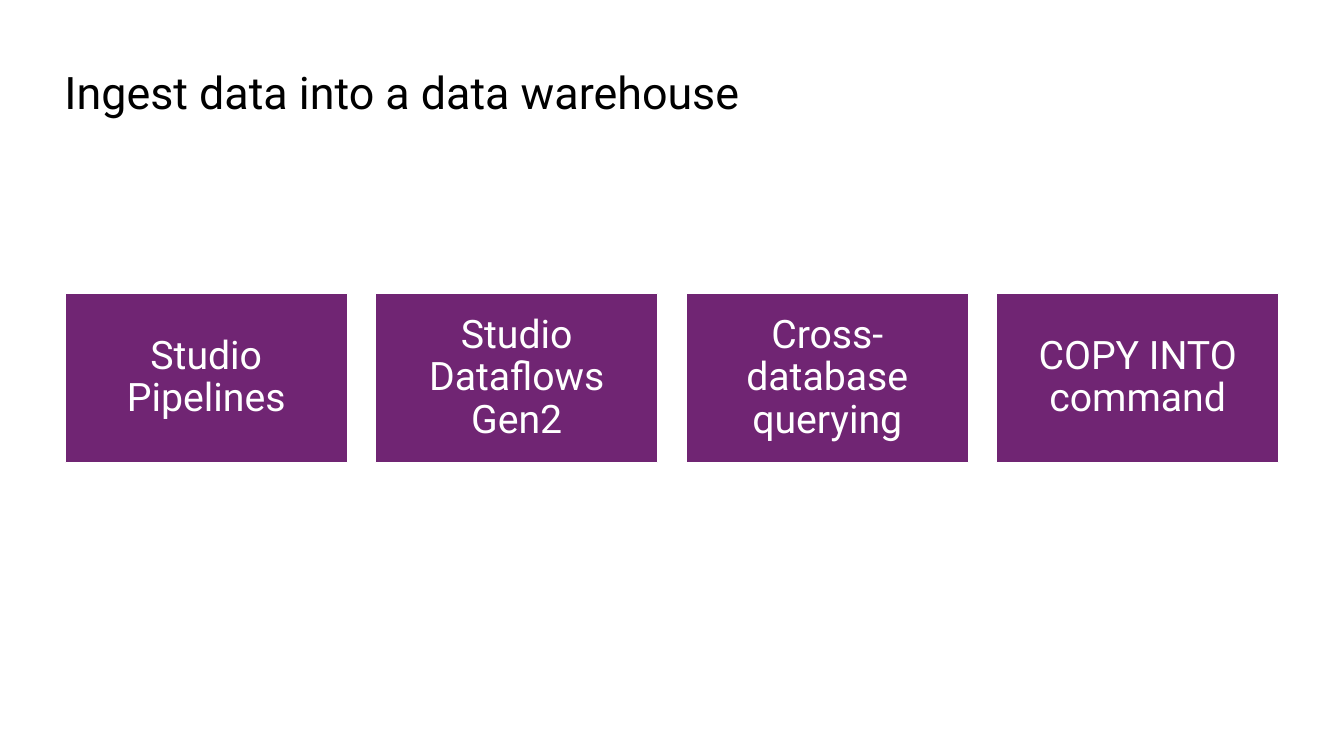
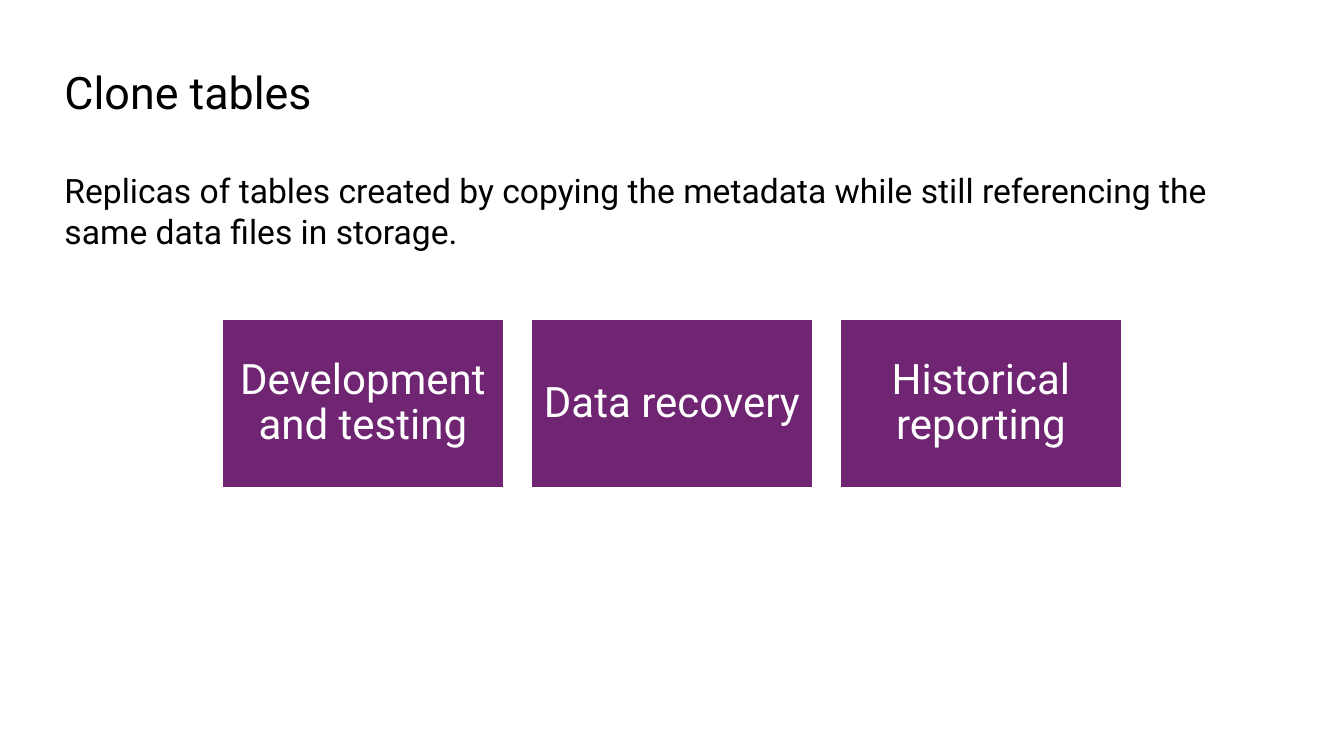
"""Build two slides on loading and cloning warehouse tables."""
import dataclasses

import pptx
import pptx.dml.color
import pptx.enum.shapes
import pptx.enum.text
import pptx.util


@dataclasses.dataclass(frozen=True)
class Theme:
    font: str = "Roboto"
    ink: str = "000000"
    fill: str = "702573"
    pale: str = "FFFFFF"
    title: int = 32
    body: int = 24
    edge: float = 0.85
    inset: float = 0.12


def color(code):
    return pptx.dml.color.RGBColor.from_string(code)


def write(shape, text, *, font, size, ink, align="LEFT", anchor="TOP", inset=0, pitch=1.0):
    frame = shape.text_frame
    frame.word_wrap = True
    frame.vertical_anchor = getattr(pptx.enum.text.MSO_ANCHOR, anchor)
    for side in ("left", "top", "right", "bottom"):
        setattr(frame, f"margin_{side}", pptx.util.Inches(inset))
    line = frame.paragraphs[0]
    line.alignment = getattr(pptx.enum.text.PP_ALIGN, align)
    line.line_spacing = pitch
    run = line.add_run()
    run.text = text
    run.font.name = font
    run.font.size = pptx.util.Pt(size)
    run.font.color.rgb = color(ink)


class Deck:
    left, span = 4.8, 90.3
    gap, ratio = 0.1, 0.6

    def __init__(self, theme):
        self.theme = theme
        self.file = pptx.Presentation()
        self.file.slide_width = pptx.util.Inches(13.33)
        self.file.slide_height = pptx.util.Inches(7.5)
        self.slide = None

    def across(self, share):
        return round(self.file.slide_width * share / 100)

    def down(self, share):
        return round(self.file.slide_height * share / 100)

    def start(self, title):
        self.slide = self.file.slides.add_slide(self.file.slide_layouts[6])
        self.text(title, top=8.53, high=7.2, size=self.theme.title)

    def text(self, words, top, high, size):
        box = self.slide.shapes.add_textbox(
            self.across(self.left), self.down(top), self.across(self.span), self.down(high))
        write(box, words, font=self.theme.font, size=size, ink=self.theme.ink)

    def body(self, words):
        self.text(words, top=22.53, high=10.8, size=self.theme.body)

    def card(self, words, left, top, wide, high, size):
        look = self.theme
        card = self.slide.shapes.add_shape(
            pptx.enum.shapes.MSO_SHAPE.RECTANGLE, left, top, wide, high)
        card.shadow.inherit = False
        card.fill.solid()
        card.fill.fore_color.rgb = color(look.fill)
        card.line.color.rgb = color(look.pale)
        card.line.width = pptx.util.Pt(look.edge)
        write(card, words, font=look.font, size=size, ink=look.pale,
              align="CENTER", anchor="MIDDLE", inset=look.inset, pitch=0.9)

    def row(self, labels, wide, middle, size):
        width = self.across(wide)
        height = round(width * self.ratio)
        step = round(width * (1 + self.gap))
        total = step * (len(labels) - 1) + width
        left = (self.file.slide_width - total) // 2
        top = self.down(middle) - height // 2
        for spot, label in enumerate(labels):
            self.card(label, left + spot * step, top, width, height, size)


def main():
    deck = Deck(Theme())

    deck.start("Ingest data into a data warehouse")
    deck.row(["Studio Pipelines", "Studio Dataflows Gen2",
              "Cross-database querying", "COPY INTO command"],
             wide=21, middle=50, size=28)

    deck.start("Clone tables")
    deck.body("Replicas of tables created by copying the metadata while still "
              "referencing the same data files in storage.")
    deck.row(["Development and testing", "Data recovery", "Historical reporting"],
             wide=20.9, middle=53.4, size=30)

    deck.file.save("out.pptx")


if __name__ == "__main__":
    main()
